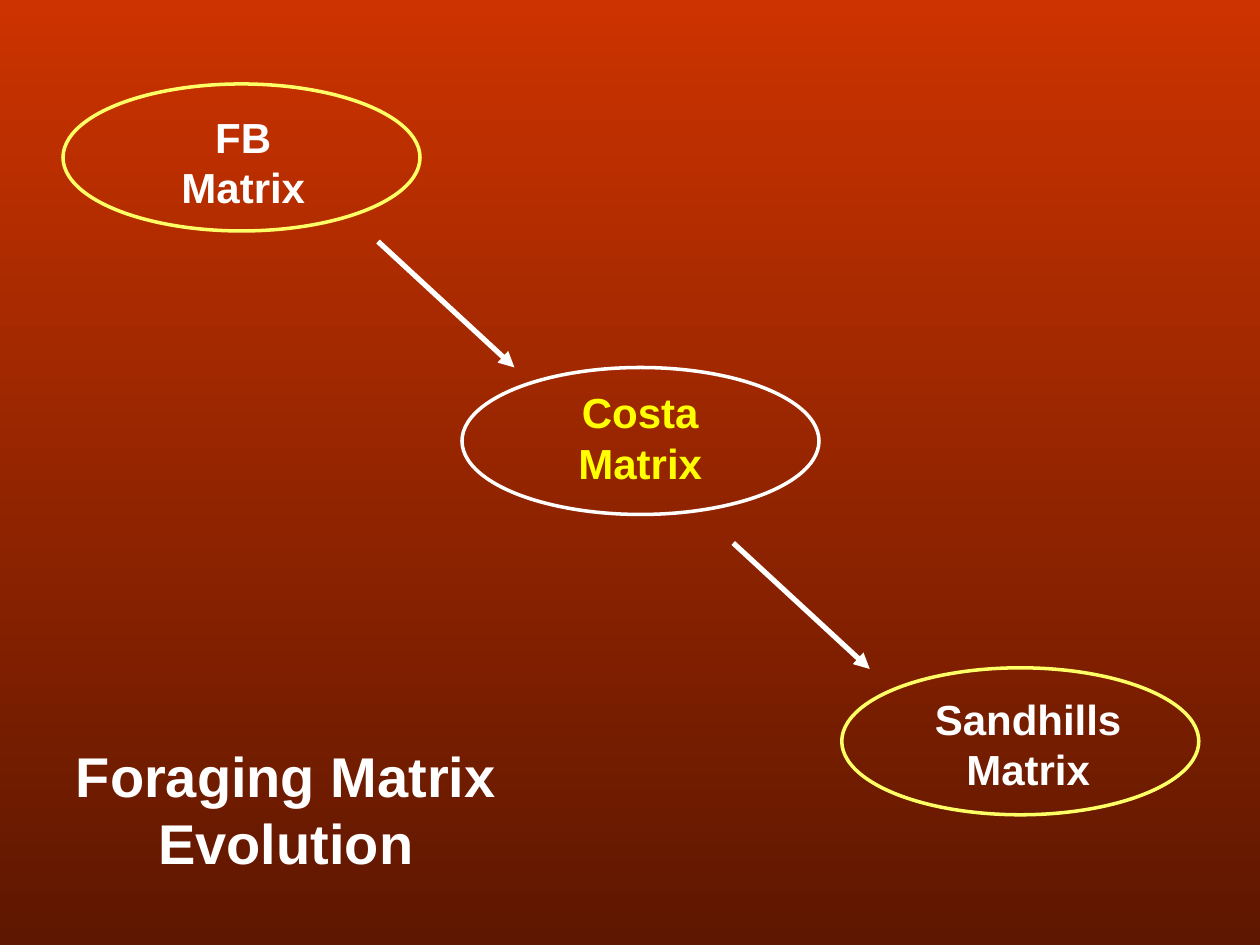
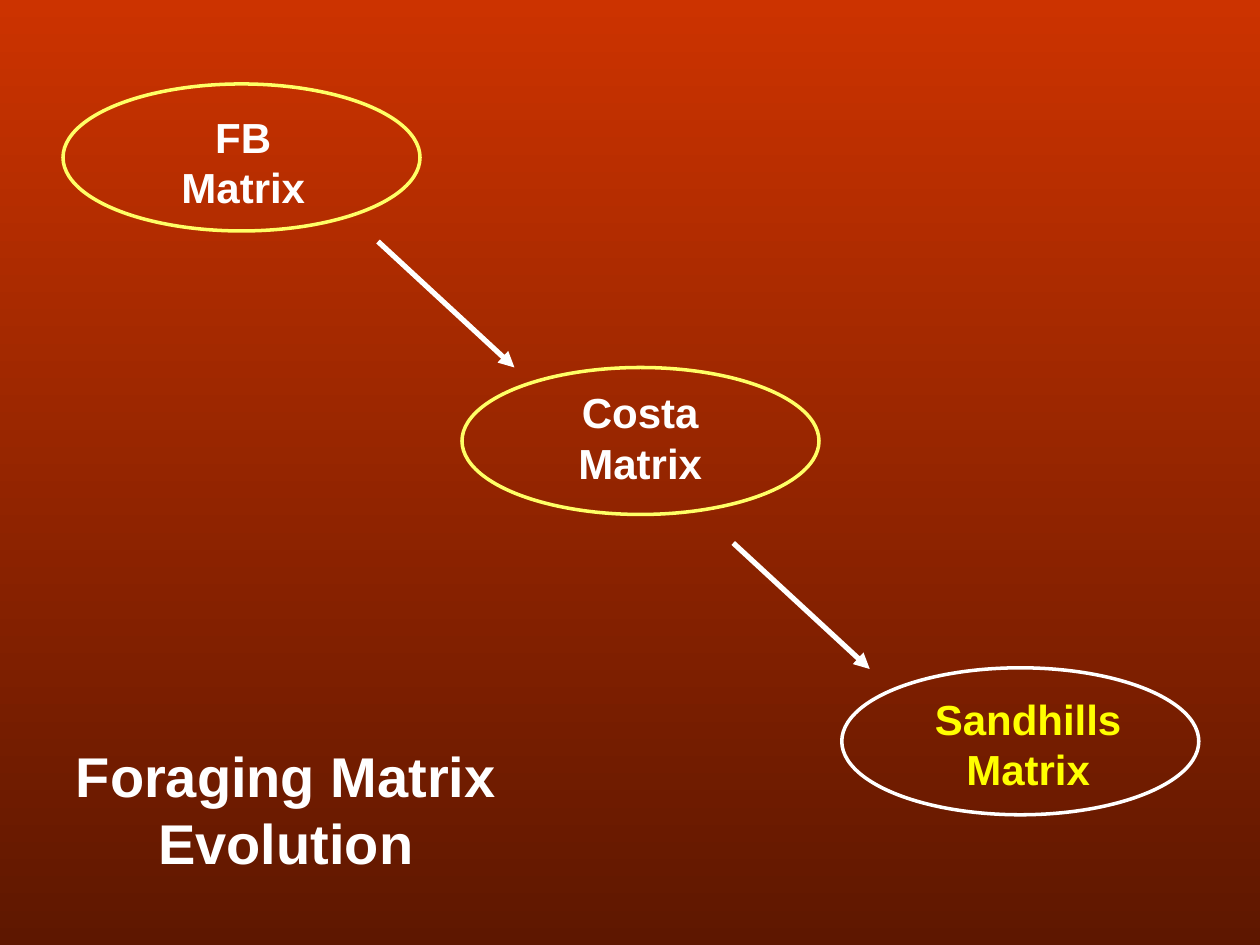
import pptx
import pptx.util
import pptx.dml.color
import pptx.enum.shapes
import pptx.enum.text
import pptx.oxml
import pptx.oxml.ns
from pptx.util import Pt

COLORS = {
    "top": "CC3300",
    "bottom": "5E1700",
    "plain": "FFFFFF",
    "ring": "FFFF66",
    "active": "FFFF00",
}
RING_SIZE = (204, 84)
ARROW_RUN, ARROW_DROP = 78, 72

# name: (ring left, ring top), (label left, label top, label width)
MATRICES = {
    "FB": ((36, 48), (96.5, 60, 85)),
    "Costa": ((264, 210), (323.3, 217.5, 85)),
    "Sandhills": ((481, 381.6), (527, 392.5, 121)),
}
ARROW_STARTS = [(216, 138), (419, 310.3)]


def rgb(name):
    return pptx.dml.color.RGBColor.from_string(COLORS[name])


class Deck:
    font = "Arial"

    def __init__(self):
        self.prs = pptx.Presentation()
        self.prs.slide_width, self.prs.slide_height = Pt(720), Pt(540)
        self.s = None
        fill = self.prs.slide_master.background.fill
        fill.gradient()
        fill.gradient_angle = 270
        for stop, name in zip(fill.gradient_stops, ("top", "bottom")):
            stop.color.rgb = rgb(name)

    def new_slide(self):
        self.s = self.prs.slides.add_slide(self.prs.slide_layouts[5])

    def style_text(self, sp, text, size, color):
        tf = sp.text_frame
        tf.text = text
        tf.word_wrap = False
        tf.auto_size = pptx.enum.text.MSO_AUTO_SIZE.SHAPE_TO_FIT_TEXT
        tf.vertical_anchor = pptx.enum.text.MSO_ANCHOR.TOP
        for p in tf.paragraphs:
            p.alignment = pptx.enum.text.PP_ALIGN.CENTER
            for r in p.runs:
                r.font.name = self.font
                r.font.size = Pt(size)
                r.font.bold = True
                r.font.color.rgb = rgb(color)

    def title(self, text, left, top, width, height):
        sp = self.s.shapes.title
        sp.left, sp.top, sp.width, sp.height = map(Pt, (left, top, width, height))
        self.style_text(sp, text, 32, "plain")

    def label(self, text, left, top, width, color):
        sp = self.s.shapes.add_textbox(Pt(left), Pt(top), Pt(width), Pt(65))
        self.style_text(sp, text, 24, color)

    def ring(self, left, top, color):
        sp = self.s.shapes.add_shape(pptx.enum.shapes.MSO_SHAPE.OVAL,
                                     Pt(left), Pt(top), *map(Pt, RING_SIZE))
        sp.shadow.inherit = False
        sp.fill.background()
        sp.line.color.rgb = rgb(color)
        sp.line.width = Pt(2)

    def arrow(self, left, top):
        sp = self.s.shapes.add_connector(
            pptx.enum.shapes.MSO_CONNECTOR.STRAIGHT, Pt(left), Pt(top),
            Pt(left + ARROW_RUN), Pt(top + ARROW_DROP))
        sp.line.color.rgb = rgb("plain")
        sp.line.width = Pt(3)
        ln = sp.line._get_or_add_ln()
        ln.append(ln.makeelement(pptx.oxml.ns.qn("a:tailEnd"), {"type": "triangle"}))
        sp_pr = sp._element.spPr
        sp_pr.append(sp_pr.makeelement(pptx.oxml.ns.qn("a:effectLst"), {}))


def evolution_slide(deck, active):
    """Draw the chain of matrices with one of them highlighted."""
    deck.new_slide()
    deck.title("Foraging Matrix\nEvolution", 36, 420, 255, 84)
    for name, (ring_at, label_at) in MATRICES.items():
        is_active = name == active
        deck.ring(*ring_at, "plain" if is_active else "ring")
        deck.label(f"{name}\nMatrix", *label_at, "active" if is_active else "plain")
    for start in ARROW_STARTS:
        deck.arrow(*start)


def main():
    deck = Deck()
    for active in ("Costa", "Sandhills"):
        evolution_slide(deck, active)
    deck.prs.save("out.pptx")


if __name__ == "__main__":
    main()
